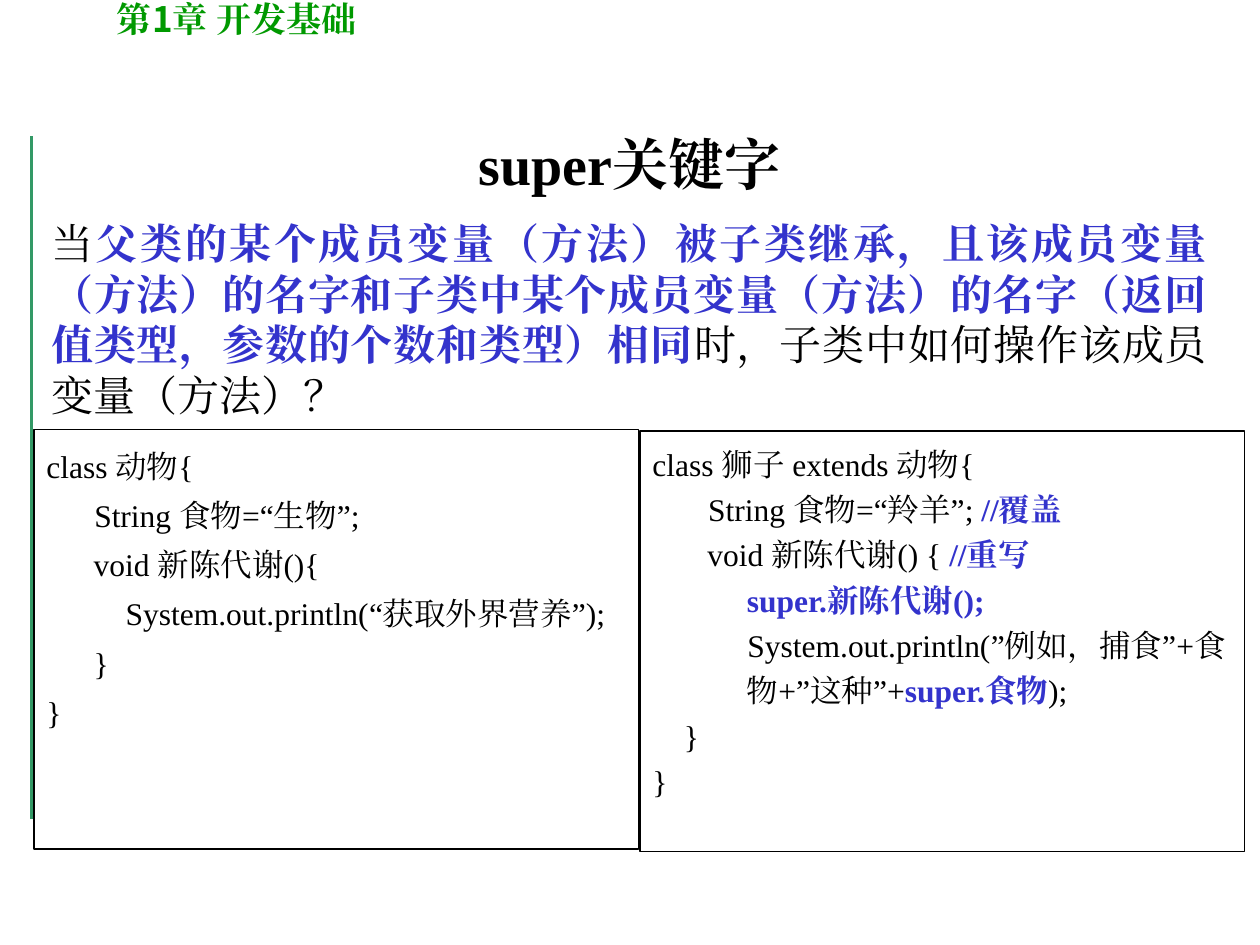
from lxml import etree
from pptx import Presentation
from pptx import util as u
from pptx.dml.color import RGBColor
from pptx.enum import shapes, text
from pptx.oxml.ns import qn

W, H = 10, 7.5
HUES = {"ink": "000000", "key": "3333CC", "head": "009900", "rule": "339966"}
SERIF, SANS = "Times New Roman", "Noto Sans CJK SC"
PAD = 0.38  # hanging indent of the code

LEFT = [
    ["class 动物{"],
    ["\tString 食物=“生物”;"],
    ["      void 新陈代谢(){"],
    ["    \t    System.out.println(“获取外界营养”);"],
    ["      }"],
    ["}"],
]
# Odd parts of a line are plain, even parts are highlighted
RIGHT = [
    ["class 狮子 extends 动物{"],
    ["\t String 食物=“羚羊”; ", "//覆盖"],
    ["       void 新陈代谢() { ", "//重写"],
    ["", "            super.新陈代谢();"],
    ["    \t      System.out.println(”例如，捕食”+食"],
    ["            物+”这种”+", "super.食物", ");"],
    ["    }"],
    ["}"],
]
BODY = [
    "当",
    "父类的某个成员变量（方法）被子类继承，且该成员变量（方法）的名字和子类中某个成员变量"
    "（方法）的名字（返回值类型，参数的个数和类型）相同",
    "时，子类中如何操作该成员变量（方法）？",
]


def hue(name):
    return RGBColor.from_string(HUES[name])


def place(box):
    return [u.Inches(v) for v in box]


def style(run, size, name="ink", bold=False, face=SERIF):
    font = run.font
    font.size, font.bold, font.name = u.Pt(size), bold, face
    font.color.rgb = hue(name)
    east = etree.SubElement(font._element, qn("a:ea"))
    east.set("typeface", SERIF)


def fill(par, parts, size):
    """Write parts as runs, plain and highlighted by turns."""
    for i, part in enumerate(parts):
        if part:
            run = par.add_run()
            run.text = part
            style(run, size, "key" if i % 2 else "ink", bool(i % 2))


def label(slide, box):
    frame = slide.shapes.add_textbox(*place(box)).text_frame
    frame.word_wrap = True
    return frame.paragraphs[0]


def header(slide, box):
    par = label(slide, box)
    for part, face in (("第", SERIF), ("1", SANS), ("章", SERIF),
                       (" 开发", SANS), ("基础", SERIF)):
        run = par.add_run()
        run.text = part
        style(run, 20, "head", True, face)


def rule(slide, x, top, end):
    line = slide.shapes.add_connector(
        shapes.MSO_CONNECTOR.STRAIGHT, *place((x, top, x, end)))
    line.line.color.rgb = hue("rule")
    line.line.width = u.Pt(2.25)
    etree.SubElement(line._element.spPr, qn("a:effectLst"))


def title(slide, box):
    shape = slide.shapes.title
    shape.left, shape.top, shape.width, shape.height = place(box)
    frame = shape.text_frame
    frame.text = "super关键字"
    frame.vertical_anchor = text.MSO_ANCHOR.MIDDLE
    par = frame.paragraphs[0]
    par.alignment = text.PP_ALIGN.CENTER
    style(par.runs[0], 32, bold=True)


def body(slide, box):
    par = label(slide, box)
    par.alignment = text.PP_ALIGN.JUSTIFY
    fill(par, BODY, 24)


def code(slide, box, lines, gap):
    shape = slide.shapes.add_shape(shapes.MSO_SHAPE.RECTANGLE, *place(box))
    shape.shadow.inherit = False
    shape.fill.background()
    shape.line.color.rgb = hue("ink")
    shape.line.width = u.Pt(0.75)
    frame = shape.text_frame
    frame.word_wrap = True
    frame.vertical_anchor = text.MSO_ANCHOR.TOP
    for i, parts in enumerate(lines):
        par = frame.add_paragraph() if i else frame.paragraphs[0]
        par.alignment = text.PP_ALIGN.LEFT
        par.line_spacing = gap
        props = par._p.get_or_add_pPr()
        props.set("marL", str(u.Inches(PAD)))
        props.set("indent", str(-u.Inches(PAD)))
        stops = etree.SubElement(props, qn("a:tabLst"))
        for inch in range(8):
            etree.SubElement(stops, qn("a:tab"), pos=str(u.Inches(inch)), algn="l")
        fill(par, parts, 18)


def main():
    deck = Presentation()
    deck.slide_width, deck.slide_height = u.Inches(W), u.Inches(H)
    slide = deck.slides.add_slide(deck.slide_layouts[5])

    # Chapter mark and side rule
    rule(slide, 0.25, 1.08, 6.5)
    header(slide, (0.83, -0.07, 5.75, 0.44))

    # Title and question
    title(slide, (0.75, 0.67, W - 1.5, 1.25))
    body(slide, (0.31, 1.68, 9.37, 1.7))

    # Parent class beside child class
    wide = 4.8
    code(slide, (0.27, 3.41, wide, 3.33), LEFT, 1.3)
    code(slide, (0.28 + wide, 3.42, wide, 3.34), RIGHT, 1.2)
    deck.save("out.pptx")


if __name__ == "__main__":
    main()
